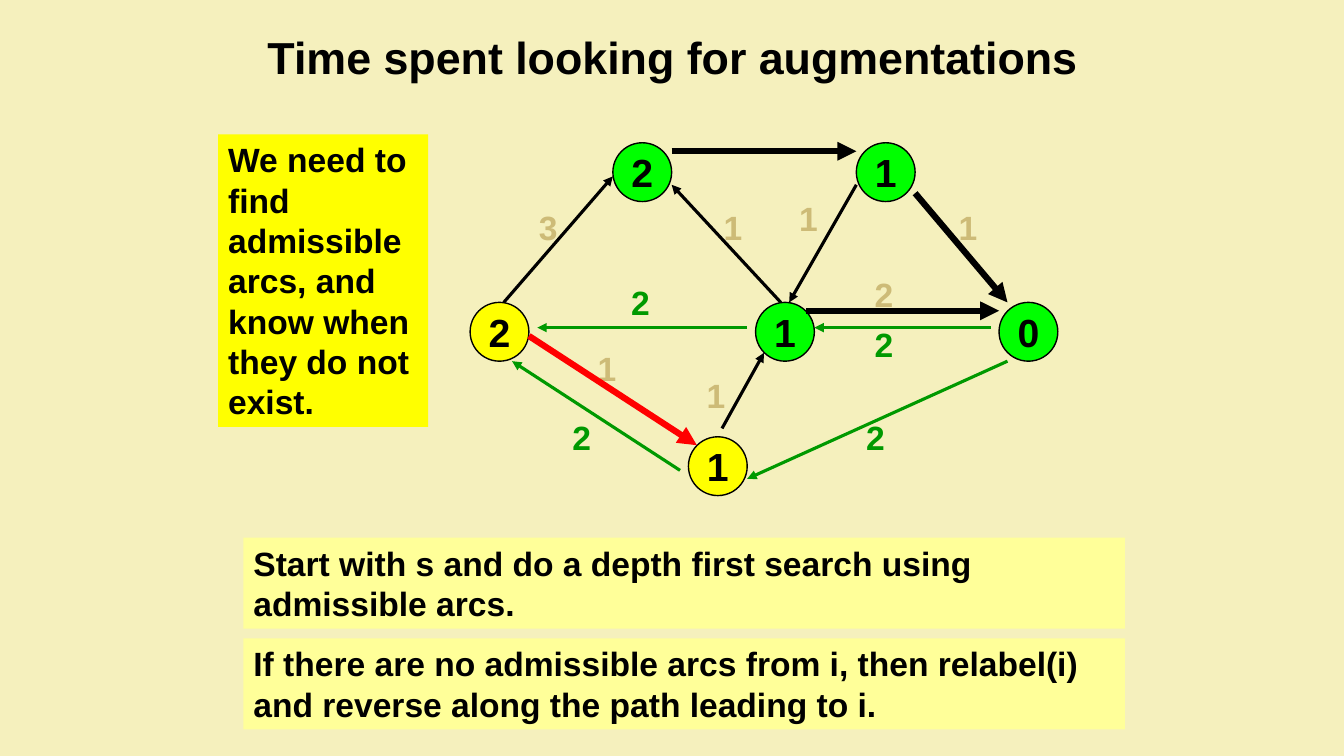
from lxml import etree
from pptx import Presentation
from pptx.dml.color import RGBColor
from pptx.enum.shapes import MSO_CONNECTOR as CONN, MSO_SHAPE as SHAPE
from pptx.enum.text import MSO_ANCHOR as ANCHOR, MSO_AUTO_SIZE as AUTO, PP_ALIGN as ALIGN
from pptx.oxml.ns import qn
from pptx.util import Pt

CREAM, BLACK, RED = "F5F0BD", "000000", "FF0000"
GREEN, TAN = "009900", "CDBB77"
LIME, YELLOW, PALE = "00FF00", "FFFF00", "FFFF99"
NODE, LABEL_W, LABEL_H = 42, 42, 36

# Positions below are relative to the network's box
# Nodes: distance label, x, y, fill
NODES = [
    ("2", 0, 114, YELLOW), ("2", 102, 0, LIME), ("1", 276, 0, LIME),
    ("1", 204, 114, LIME), ("0", 378, 114, LIME), ("1", 156, 210, YELLOW),
]
# Arcs: x1, y1, x2, y2
RESIDUAL_ARCS = [
    (24, 114, 102, 24), (222, 114, 144, 30),
    (276, 30, 228, 114), (180, 204, 210, 150),
]
ADMISSIBLE_ARCS = [(144, 6, 276, 6), (240, 120, 378, 120), (318, 36, 384, 114)]
REVERSE_ARCS = [
    (198, 132, 48, 132), (372, 132, 246, 132),
    (150, 234, 30, 156), (384, 156, 198, 240),
]
SEARCH_ARCS = [(42, 138, 162, 216)]
# Arc capacities: text, x, y, colour, fill
CAPACITIES = [
    ("2", 276, 192, GREEN, CREAM), ("2", 66, 192, GREEN, CREAM),
    ("2", 282, 126, GREEN, CREAM), ("2", 282, 90, TAN, CREAM),
    ("2", 108, 96, GREEN, CREAM), ("1", 342, 42, TAN, None),
    ("1", 228, 36, TAN, None), ("1", 162, 162, TAN, None),
    ("3", 42, 42, TAN, None), ("1", 84, 143, TAN, None),
    ("1", 174, 42, TAN, None),
]


def rgb(color):
    return RGBColor.from_string(color)


def set_text(tf, text, size, color=BLACK, align=ALIGN.LEFT):
    p = tf.paragraphs[0]
    p.alignment = align
    r = p.add_run()
    r.text = text
    for name, value in {"name": "Arial", "size": Pt(size), "bold": True}.items():
        setattr(r.font, name, value)
    r.font.color.rgb = rgb(color)


def add_text(slide, box, text, color=BLACK, fill=None):
    sp = slide.shapes.add_textbox(*map(Pt, box))
    if fill:
        sp.fill.solid()
        sp.fill.fore_color.rgb = rgb(fill)
    sp.text_frame.word_wrap = True
    sp.text_frame.auto_size = AUTO.SHAPE_TO_FIT_TEXT
    set_text(sp.text_frame, text, 24, color)


def add_arcs(slide, left, top, arcs, color, width):
    for x1, y1, x2, y2 in arcs:
        ends = (left + x1, top + y1, left + x2, top + y2)
        arc = slide.shapes.add_connector(CONN.STRAIGHT, *map(Pt, ends))
        arc.line.color.rgb = rgb(color)
        arc.line.width = Pt(width)
        etree.SubElement(arc.line._get_or_add_ln(), qn("a:tailEnd"), type="triangle")
        etree.SubElement(arc._element.spPr, qn("a:effectLst"))


def add_node(slide, x, y, text, fill):
    sp = slide.shapes.add_shape(SHAPE.OVAL, *map(Pt, (x, y, NODE, NODE)))
    sp.shadow.inherit = False
    sp.fill.solid()
    sp.fill.fore_color.rgb = rgb(fill)
    sp.line.color.rgb = rgb(BLACK)
    sp.line.width = Pt(1)
    tf = sp.text_frame
    tf.word_wrap = False
    tf.vertical_anchor = ANCHOR.MIDDLE
    set_text(tf, text, 28, align=ALIGN.CENTER)


def add_title(slide, box, text):
    sp = slide.shapes.title
    for name, value in zip(("left", "top", "width", "height"), box):
        setattr(sp, name, Pt(value))
    sp.text_frame.vertical_anchor = ANCHOR.MIDDLE
    set_text(sp.text_frame, text, 32, align=ALIGN.CENTER)


def add_network(slide, left, top):
    for text, x, y, color, fill in CAPACITIES:
        add_text(slide, (left + x, top + y, LABEL_W, LABEL_H), text, color, fill)
    add_arcs(slide, left, top, RESIDUAL_ARCS, BLACK, 2.25)
    for text, x, y, fill in NODES:
        add_node(slide, left + x, top + y, text, fill)
    add_arcs(slide, left, top, ADMISSIBLE_ARCS, BLACK, 4.5)
    add_arcs(slide, left, top, REVERSE_ARCS, GREEN, 2.25)
    add_arcs(slide, left, top, SEARCH_ARCS, RED, 4.5)


def add_steps(slide, left, top, width, steps):
    for i, step in enumerate(steps):
        add_text(slide, (left, top + 72 * i, width, 65), step, fill=PALE)


def main():
    prs = Presentation()
    prs.slide_width, prs.slide_height = Pt(960.5), Pt(540)
    slide = prs.slides.add_slide(prs.slide_layouts[5])
    slide.background.fill.solid()
    slide.background.fill.fore_color.rgb = rgb(CREAM)

    add_title(slide, (49, 9.5, 864, 62.5), "Time spent looking for augmentations")
    add_network(slide, 336, 102)
    add_steps(slide, 174, 384, 630, [
        "Start with s and do a depth first search using admissible arcs.",
        "If there are no admissible arcs from i, then relabel(i) "
        "and reverse along the path leading to i.",
    ])
    # Side note
    add_text(slide, (156, 96, 150, 209),
             "We need to find admissible arcs, and know when they do not exist.",
             fill=YELLOW)
    prs.save("out.pptx")


if __name__ == "__main__":
    main()
